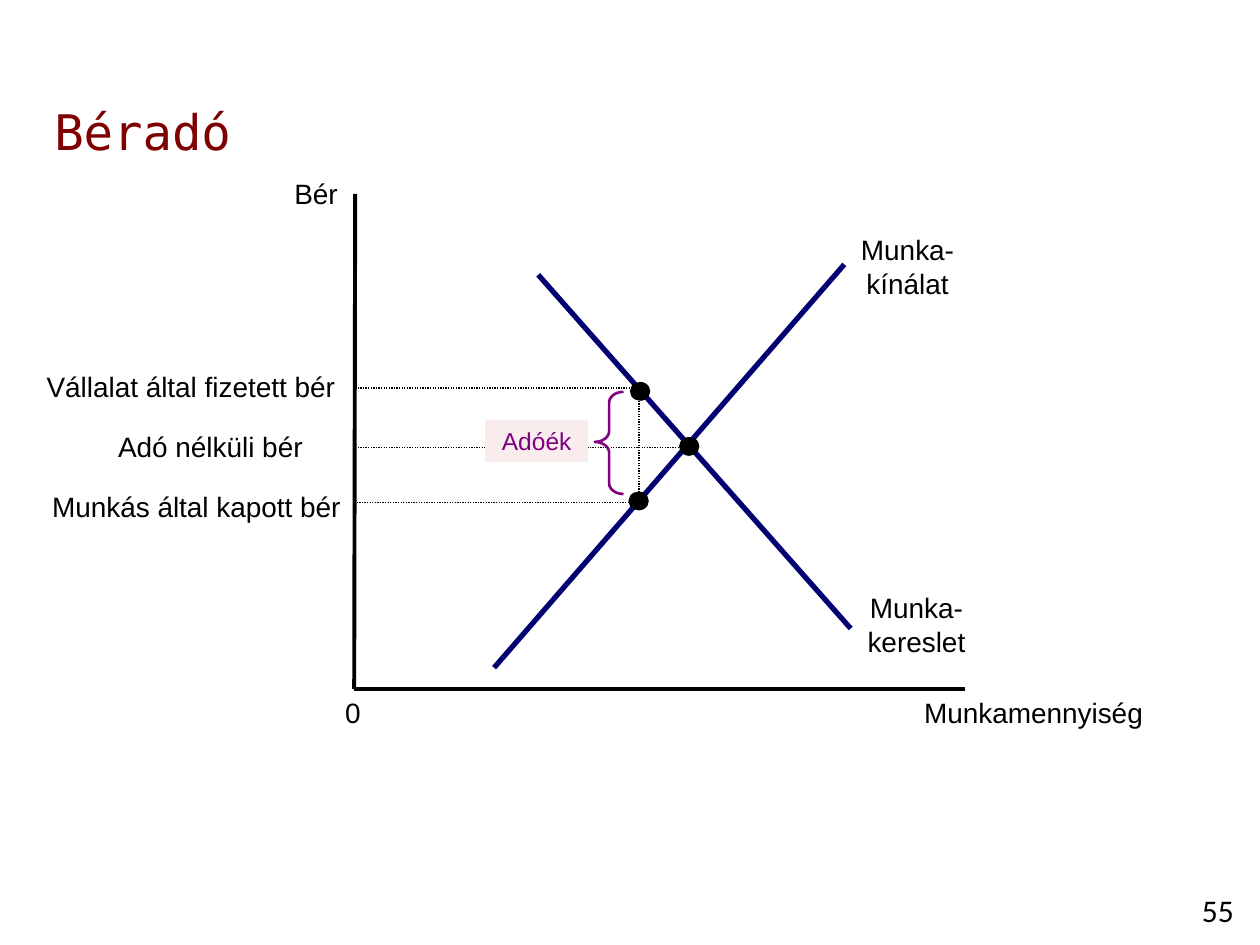
from dataclasses import dataclass

from lxml.etree import SubElement
from pptx import Presentation
from pptx.dml.color import RGBColor as Color
from pptx.enum.dml import MSO_LINE_DASH_STYLE as Dash
from pptx.enum.shapes import MSO_CONNECTOR as Connector, MSO_SHAPE as Shape
from pptx.enum.text import MSO_ANCHOR as Anchor, MSO_AUTO_SIZE as AutoSize, PP_ALIGN as Align
from pptx.oxml.ns import qn
from pptx.util import Cm, Pt


@dataclass(frozen=True)
class Theme:
    ink: Color = Color.from_string("000000")
    title: Color = Color.from_string("7E0000")
    curve: Color = Color.from_string("000070")
    wedge: Color = Color.from_string("800080")
    wedge_fill: Color = Color.from_string("F8EDEC")
    title_size: int = 28
    number_size: int = 18
    label_size: int = 16
    wedge_size: int = 14
    title_font: str = "DejaVu Sans Mono"
    number_font: str = "Calibri"
    label_font: str = "Arial"


theme = Theme()


def write_text(box, text, font=theme.label_font, size=theme.label_size, color=theme.ink,
               align=Align.LEFT, anchor=Anchor.TOP, wrap=True, fit=AutoSize.SHAPE_TO_FIT_TEXT):
    frame = box.text_frame
    frame.text = text
    frame.word_wrap = wrap
    frame.auto_size = fit
    frame.vertical_anchor = anchor
    for para in frame.paragraphs:
        para.alignment = align
        for span in para.runs:
            span.font.name = font
            span.font.size = Pt(size)
            span.font.color.rgb = color


def draw_line(page, x1, y1, x2, y2, color=theme.ink, width=2.25, dash=None):
    line = page.shapes.add_connector(Connector.STRAIGHT, Cm(x1), Cm(y1), Cm(x2), Cm(y2))
    line.line.color.rgb = color
    line.line.width = Pt(width)
    if dash:
        line.line.dash_style = dash
    SubElement(line.element.spPr, qn("a:effectLst"))


deck = Presentation()
deck.slide_width = Cm(25.4)
deck.slide_height = Cm(19.05)
page = deck.slides.add_slide(deck.slide_layouts[5])

title = page.shapes.title
title.left, title.top, title.width, title.height = Cm(0.84), Cm(1.91), Cm(24.56), Cm(1.47)
write_text(title, "Béradó", font=theme.title_font, size=theme.title_size, color=theme.title,
           anchor=Anchor.MIDDLE, fit=AutoSize.NONE)

number = page.shapes.add_textbox(Cm(23.7), Cm(17.83), Cm(1.7), Cm(1.02))
write_text(number, "55", font=theme.number_font, size=theme.number_size,
           align=Align.CENTER, fit=AutoSize.NONE)

axes = [(7.16, 3.91, 7.14, 13.89), (7.14, 13.89, 19.46, 13.89)]
for axis in axes:
    draw_line(page, *axis)

demand = (10.85, 5.54, 17.15, 12.67)
supply = (9.96, 13.46, 17.02, 5.33)
for curve in (demand, supply):
    draw_line(page, *curve, color=theme.curve, width=3)

guides = [
    (12.88, 7.87, 12.88, 10.08),
    (7.16, 7.82, 12.8, 7.82),
    (7.16, 9.02, 13.94, 9.02),
    (7.19, 10.13, 12.85, 10.13),
]
for guide in guides:
    draw_line(page, *guide, width=0.75, dash=Dash.ROUND_DOT)

labels = [
    ("Bér", 5, 3.43, 2.06, 0.94, Align.RIGHT, True),
    ("Munkamennyiség", 17.98, 13.89, 5.31, 0.94, Align.RIGHT, True),
    ("0", 6.71, 13.89, 0.84, 0.94, Align.LEFT, False),
    ("Munka-\nkereslet", 17.22, 11.79, 2.51, 1.63, Align.CENTER, False),
    ("Munka-\nkínálat", 17.09, 4.57, 2.41, 1.63, Align.CENTER, False),
    ("Vállalat által fizetett bér", 0.69, 7.32, 6.4, 0.94, Align.LEFT, False),
    ("Adó nélküli bér", 2.13, 8.53, 4.27, 0.94, Align.LEFT, False),
    ("Munkás által kapott bér", 0.76, 9.75, 6.4, 0.94, Align.CENTER, False),
]
for text, left, top, width, height, align, wrap in labels:
    label = page.shapes.add_textbox(Cm(left), Cm(top), Cm(width), Cm(height))
    write_text(label, text, align=align, wrap=wrap)

wedge = page.shapes.add_shape(Shape.RECTANGLE, Cm(9.78), Cm(8.46), Cm(2.08), Cm(0.86))
wedge.shadow.inherit = False
wedge.fill.solid()
wedge.fill.fore_color.rgb = theme.wedge_fill
wedge.line.fill.background()
write_text(wedge, "Adóék", size=theme.wedge_size, color=theme.wedge, align=Align.CENTER)

brace = page.shapes.add_shape(Shape.LEFT_BRACE, Cm(11.99), Cm(7.9), Cm(0.58), Cm(2.06))
brace.shadow.inherit = False
brace.adjustments[0] = 0.37
brace.adjustments[1] = 0.49
brace.fill.background()
brace.line.color.rgb = theme.wedge
brace.line.width = Pt(1.5)

for left, top in [(13.69, 8.81), (12.7, 7.7), (12.67, 9.91)]:
    dot = page.shapes.add_shape(Shape.OVAL, Cm(left), Cm(top), Cm(0.41), Cm(0.38))
    dot.shadow.inherit = False
    dot.fill.solid()
    dot.fill.fore_color.rgb = theme.ink
    dot.line.fill.background()

deck.save("out.pptx")
